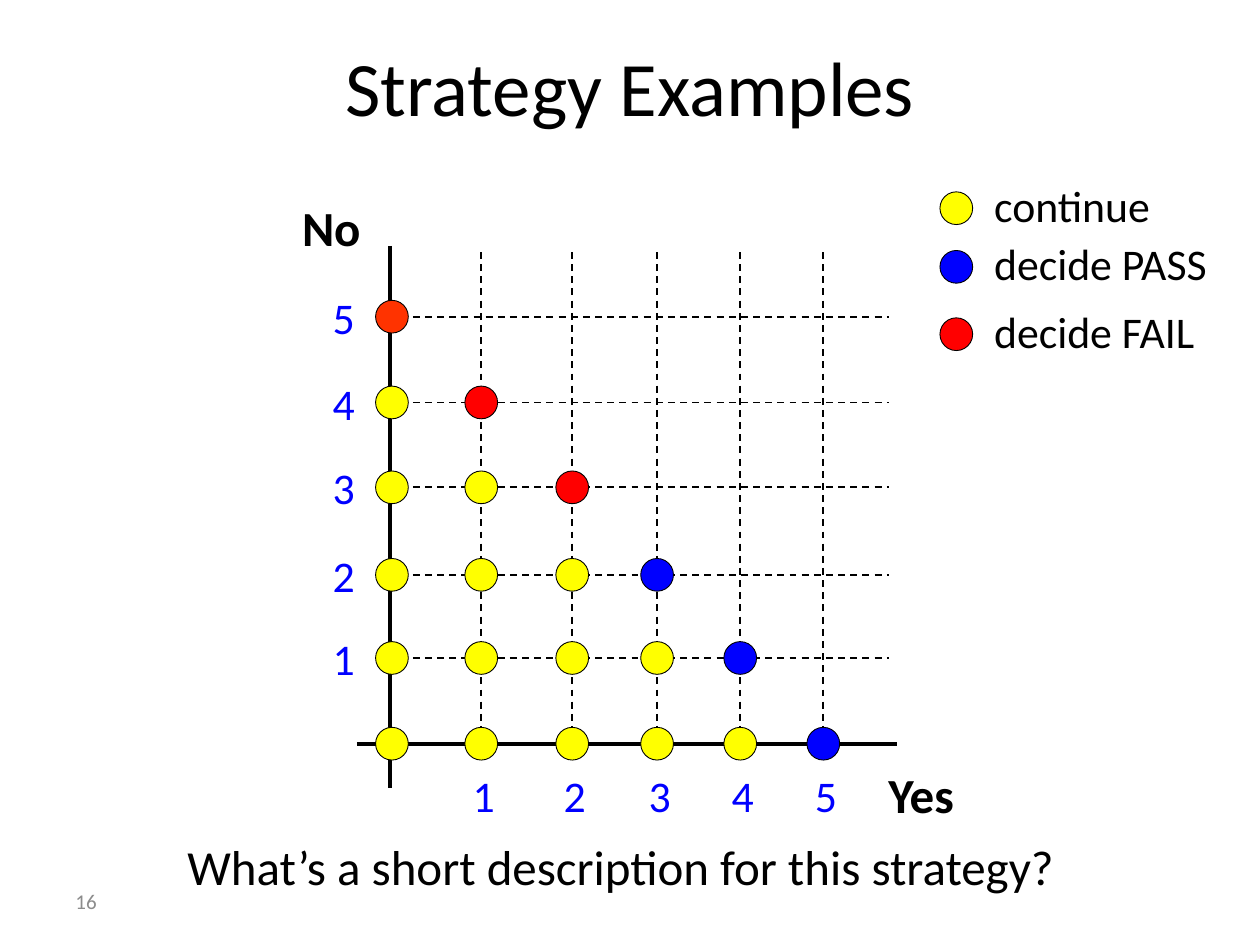
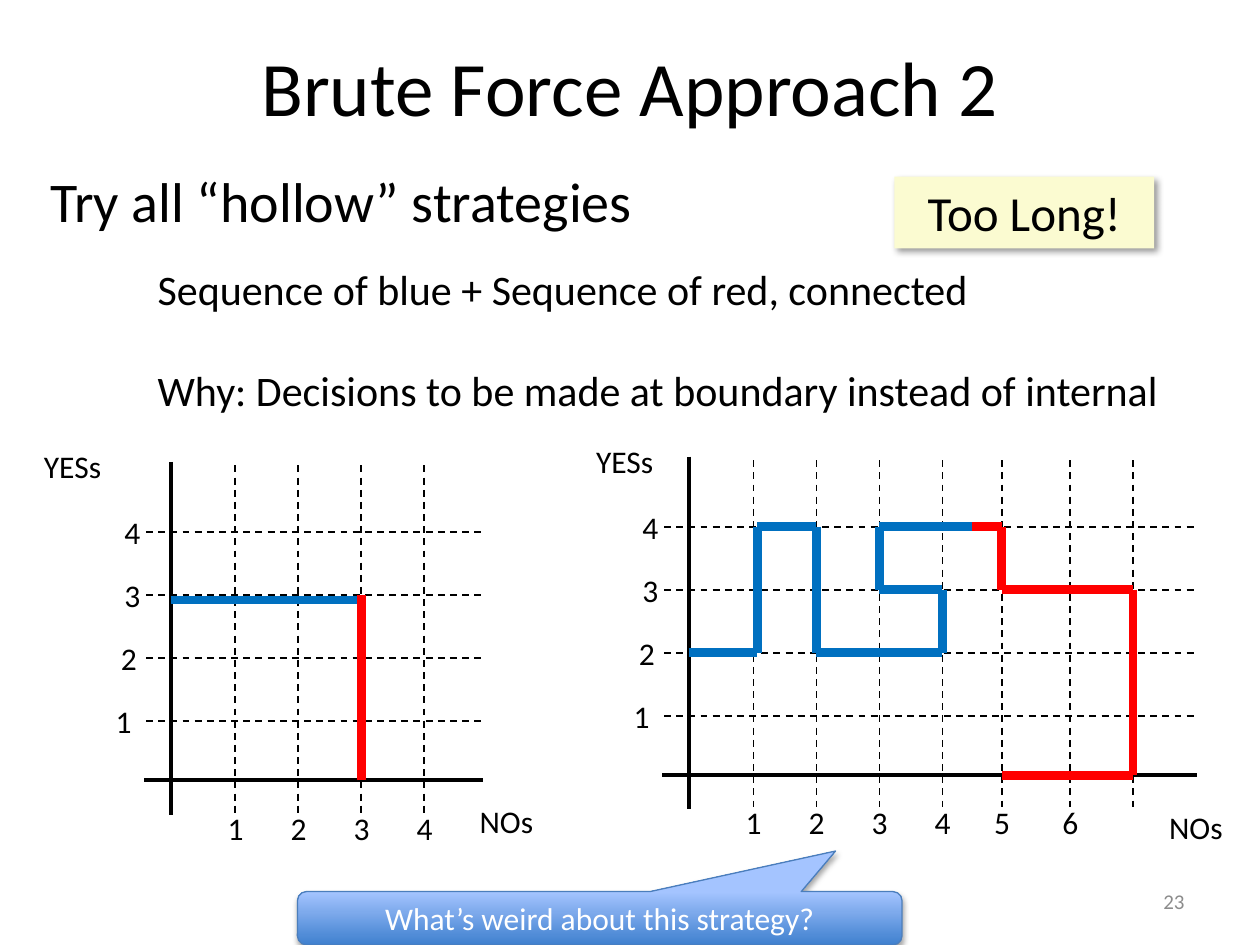
import math

import lxml.etree
import pptx
import pptx.dml.color
import pptx.enum.dml
import pptx.enum.shapes
import pptx.enum.text
import pptx.oxml.ns
import pptx.util

Pt = pptx.util.Pt
RGB = pptx.dml.color.RGBColor
SHAPE = pptx.enum.shapes.MSO_SHAPE
ALIGN = pptx.enum.text.PP_ALIGN
ANCHOR = pptx.enum.text.MSO_ANCHOR
FIT = pptx.enum.text.MSO_AUTO_SIZE
qn = pptx.oxml.ns.qn

FONT = "Calibri"
BLACK = RGB(0x00, 0x00, 0x00)
WHITE = RGB(0xFF, 0xFF, 0xFF)
GRAY = RGB(0x8C, 0x8C, 0x8C)
BLUE = RGB(0x00, 0x00, 0xFF)
RED = RGB(0xFF, 0x00, 0x00)
ORANGE = RGB(0xFF, 0x33, 0x00)
YELLOW = RGB(0xFF, 0xFF, 0x00)
CREAM = RGB(0xFB, 0xFB, 0xD1)
ROUTE_BLUE = RGB(0x00, 0x70, 0xC0)
CALL_DARK = RGB(0x3F, 0x80, 0xCE)
CALL_LIGHT = RGB(0xA4, 0xC4, 0xFF)
CALL_EDGE = RGB(0x4B, 0x7E, 0xBC)

DOT = 18.7
STATES = {"c": YELLOW, "p": BLUE, "f": RED, "o": ORANGE}
# State of each point, one string a row, from the lowest row up
STRATEGY = ["cccccp", "ccccp", "cccp", "ccf", "cf", "o"]
STRATEGY_X = [224, 275, 327, 375.5, 423, 470.5]
STRATEGY_Y = [425, 376, 328.5, 278.5, 230, 181]

# Distances of the grid lines from the origin of a hollow plot
COLS = [0, 37, 73, 109, 145, 179, 218, 254]
ROWS = [0, 34, 70, 106, 142]
ROW_LABELS = [-38.5, -35.5, -33.5, -33.5]


def style(par, size, color=BLACK, bold=None, align=None):
    par.alignment = align
    font = par.font
    font.name, font.size, font.bold = FONT, Pt(size), bold
    font.color.rgb = color


def place(shape, left, top, width, height):
    shape.left, shape.top = Pt(left), Pt(top)
    shape.width, shape.height = Pt(width), Pt(height)


def write(slide, text, left, top, width, height, size, wrap=False, **look):
    """Add a text box and return its text frame."""
    box = slide.shapes.add_textbox(Pt(left), Pt(top), Pt(width), Pt(height))
    frame = box.text_frame
    frame.text = text
    frame.word_wrap = wrap
    frame.auto_size = FIT.SHAPE_TO_FIT_TEXT
    for par in frame.paragraphs:
        style(par, size, **look)
    return frame


def draw_line(slide, x1, y1, x2, y2, color=BLACK, width=2.25, dash=False):
    line = slide.shapes.add_connector(
        pptx.enum.shapes.MSO_CONNECTOR.STRAIGHT, Pt(x1), Pt(y1), Pt(x2), Pt(y2))
    line.line.color.rgb = color
    line.line.width = Pt(width)
    if dash:
        line.line.dash_style = pptx.enum.dml.MSO_LINE.DASH
    lxml.etree.SubElement(line._element.spPr, qn("a:effectLst"))


def draw_dash(slide, *ends):
    draw_line(slide, *ends, width=1, dash=True)


def draw_dot(slide, x, y, color):
    dot = slide.shapes.add_shape(
        SHAPE.OVAL, Pt(x - DOT / 2), Pt(y - DOT / 2), Pt(DOT), Pt(DOT))
    dot.shadow.inherit = False
    dot.fill.solid()
    dot.fill.fore_color.rgb = color
    dot.line.color.rgb = BLACK
    dot.line.width = Pt(0.5)


def cast_shadow(shape, alpha, blur, dist, angle):
    shape.shadow.inherit = False
    effects = shape._element.spPr.find(qn("a:effectLst"))
    shade = lxml.etree.SubElement(
        effects, qn("a:outerShdw"), blurRad=str(Pt(blur)), dist=str(Pt(dist)),
        dir=str(angle * 60000), algn="tl", rotWithShape="0")
    color = lxml.etree.SubElement(shade, qn("a:srgbClr"), val=str(BLACK))
    lxml.etree.SubElement(color, qn("a:alpha"), val=str(alpha * 1000))


def start_slide(deck, layout, title, number, left, align):
    """Add a slide with its title and its number."""
    slide = deck.slides.add_slide(deck.slide_layouts[layout])
    head = slide.shapes.title
    place(head, 36, 11, 648, 75.5)
    head.text_frame.text = title
    head.text_frame.vertical_anchor = ANCHOR.MIDDLE
    style(head.text_frame.paragraphs[0], 44, align=ALIGN.CENTER)
    foot = write(slide, number, left, 500.5, 168, 28.8, 12, wrap=True,
                 color=GRAY, align=align)
    foot.auto_size = FIT.NONE
    foot.vertical_anchor = ANCHOR.MIDDLE
    return slide


def draw_strategy(slide):
    draw_line(slide, 223, 140.5, 223, 450)
    draw_line(slide, 204, 425, 512.5, 425)
    for num, (x, y) in enumerate(zip(STRATEGY_X[1:], STRATEGY_Y[1:]), 1):
        draw_dash(slide, x, 144, x, 428)
        draw_dash(slide, 222, y, 508, y)
        write(slide, str(num), x - 12, 436, 27, 37, 25, color=BLUE)
        write(slide, str(num), 183, y - 18.5, 27, 37, 25, color=BLUE)
    write(slide, "Yes", 500.5, 433.5, 55.5, 41, 28, bold=True)
    write(slide, "No", 165.5, 109.5, 48, 41, 28, bold=True)
    for y, row in zip(STRATEGY_Y, STRATEGY):
        for x, state in zip(STRATEGY_X, row):
            draw_dot(slide, x, y, STATES[state])


def draw_legend(slide):
    entries = [(119, "continue", "c"), (152.5, "decide PASS", "p"),
               (191, "decide FAIL", "f")]
    for y, text, state in entries:
        draw_dot(slide, 546.5, y, STATES[state])
        write(slide, text, 561, y - 20.5, 140, 37, 25)


def between(steps, pos):
    """Distance of a grid position, which may lie between two lines."""
    low = math.floor(pos)
    high = math.ceil(pos)
    return steps[low] + (steps[high] - steps[low]) * (pos - low)


def draw_plot(slide, x0, y0, end, cols, labels, yes_left, nos_at, routes):
    """Draw a grid with axes, and the routes given in grid positions."""
    draw_line(slide, x0, y0 - 182, x0, y0 + 19.5)
    draw_line(slide, x0 - 15, y0, end, y0)
    for num, step in enumerate(COLS[1:cols + 1], 1):
        x = x0 + step
        draw_dash(slide, x, y0 - 180, x, y0 + 20)
        if num <= labels:
            write(slide, str(num), x - 11.5, y0 + 12.5, 24, 29, 18)
    for num, (step, shift) in enumerate(zip(ROWS[1:], ROW_LABELS), 1):
        y = y0 - step
        draw_dash(slide, x0 - 14, y, end, y)
        write(slide, str(num), x0 + shift, y - 14.5, 24, 29, 18)
    write(slide, "NOs", *nos_at, 59, 36.5, 18)
    write(slide, "YESs", yes_left, y0 - 194, 70, 36, 18)
    for color, route in routes:
        points = [(x0 + between(COLS, col), y0 - between(ROWS, row))
                  for col, row in route]
        for start, stop in zip(points, points[1:]):
            draw_line(slide, *start, *stop, color=color, width=5)


def add_lead(slide, text):
    body = slide.placeholders[1]
    place(body, 21.5, 91.5, 666, 390)
    par = body.text_frame.paragraphs[0]
    par.text = text
    props = par._p.get_or_add_pPr()
    props.set("marL", "0")
    props.set("indent", "0")
    lxml.etree.SubElement(props, qn("a:buNone"))
    style(par, 32)


def add_note(slide, text):
    note = slide.shapes.add_shape(
        SHAPE.RECTANGLE, Pt(511), Pt(101), Pt(148.5), Pt(41))
    cast_shadow(note, 40, 4, 3, 45)
    note.fill.solid()
    note.fill.fore_color.rgb = CREAM
    note.line.fill.background()
    note.text_frame.text = text
    note.text_frame.vertical_anchor = ANCHOR.TOP
    style(note.text_frame.paragraphs[0], 28, align=ALIGN.CENTER)


def add_callout(slide, text):
    call = slide.shapes.add_shape(
        SHAPE.ROUNDED_RECTANGULAR_CALLOUT, Pt(170), Pt(509.5), Pt(345.5), Pt(30.5))
    for num, value in enumerate([0.39, -1.26, 0.17]):
        call.adjustments[num] = value
    cast_shadow(call, 35, 3.1, 1.8, 90)
    call.fill.gradient()
    call.fill.gradient_angle = 90
    for stop, color in zip(call.fill.gradient_stops, [CALL_DARK, CALL_LIGHT]):
        stop.color.rgb = color
    call.line.color.rgb = CALL_EDGE
    call.line.width = Pt(0.75)
    call.text_frame.text = text
    call.text_frame.vertical_anchor = ANCHOR.MIDDLE
    style(call.text_frame.paragraphs[0], 18, WHITE, align=ALIGN.CENTER)


def main():
    deck = pptx.Presentation()
    deck.slide_width, deck.slide_height = Pt(720), Pt(540)

    slide = start_slide(deck, 5, "Strategy Examples", "16", 36, ALIGN.LEFT)
    draw_strategy(slide)
    draw_legend(slide)
    write(slide, "What’s a short description for this strategy?",
          100, 474.5, 539, 41, 28, wrap=True)

    slide = start_slide(deck, 1, "Brute Force Approach 2", "23", 516, ALIGN.RIGHT)
    add_lead(slide, "Try all “hollow” strategies")
    add_note(slide, "Too Long!")
    draw_plot(slide, 393.5, 443, 684, 7, 6, 333.5, (661, 458), [
        (ROUTE_BLUE, [(0, 2), (1.06, 2), (1.06, 4), (2, 4), (2, 2), (4, 2),
                      (4, 3), (3, 3), (3, 4), (4.5, 4)]),
        (RED, [(4.5, 4), (5, 4), (5, 3), (7, 3), (7, 0), (5, 0)])])
    draw_plot(slide, 97.5, 446, 276, 4, 4, 18, (267, 454.5), [
        (ROUTE_BLUE, [(0, 2.92), (3, 2.92)]),
        (RED, [(3, 0), (3, 3)])])
    frame = write(slide, "Sequence of blue + Sequence of red, connected\n"
                  "Why: Decisions to be made at boundary instead of internal",
                  83, 147, 601, 94.5, 24, wrap=True)
    frame.paragraphs[1].space_before = Pt(29)
    add_callout(slide, "What’s weird about this strategy?")

    deck.save("out.pptx")


if __name__ == "__main__":
    main()
